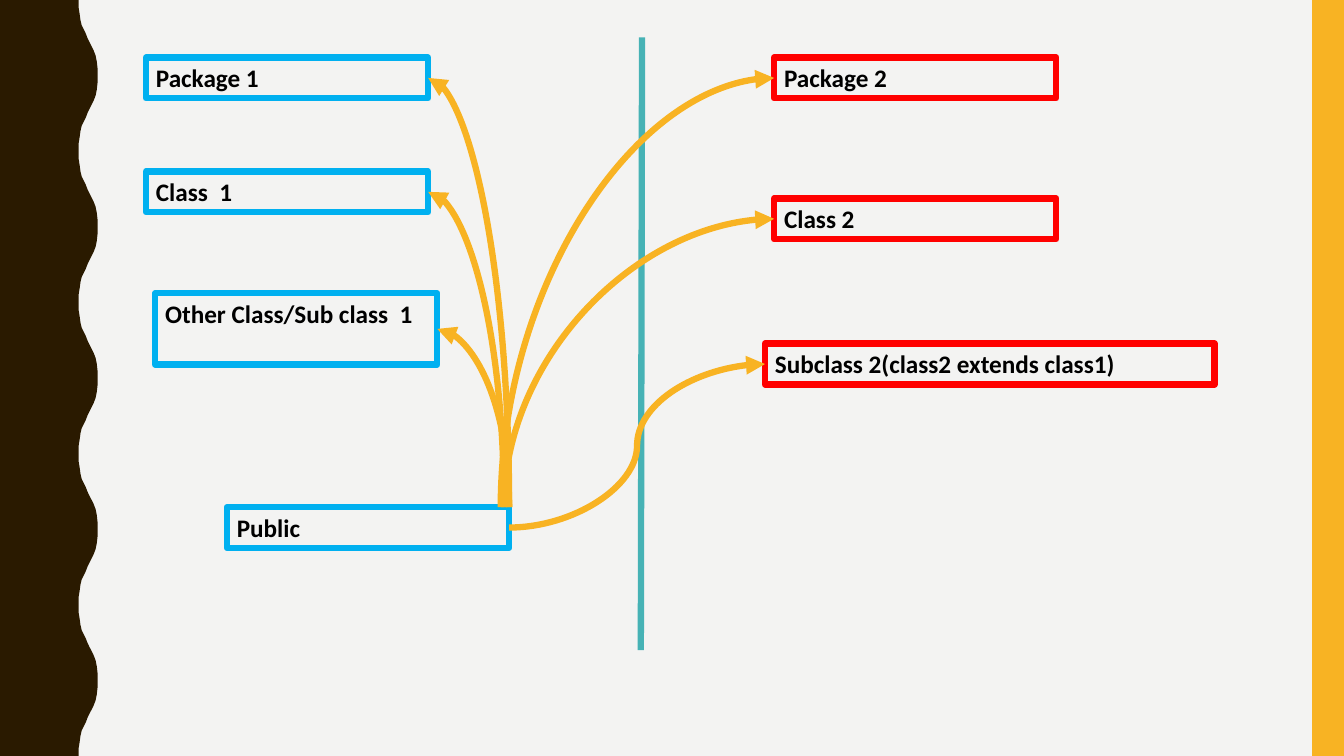
from dataclasses import dataclass

from pptx import Presentation
from pptx import util as u
from pptx.dml import color
from pptx.enum import shapes, text
from pptx.oxml import xmlchemy as xml
from pptx.oxml import ns

Cm = u.Cm


@dataclass(frozen=True)
class Theme:
    back: str = "F3F3F2"
    wave: str = "2A1A00"
    gold: str = "F8B323"
    teal: str = "46B2B5"
    blue: str = "00B0F0"
    red: str = "FF0000"
    ink: str = "000000"
    font: str = "Calibri"
    size: int = 18
    line: float = 4.5


T = Theme()
WIDE, HIGH = 33.87, 19.05

# Half a wave, in cm: from the hollow to the crest
HALF = [(1.98, 0), (1.98, 0.18), (2.01, 0.36), (2.03, 0.51), (2.06, 0.64),
        (2.11, 0.74), (2.16, 0.84), (2.21, 0.97), (2.26, 1.07), (2.31, 1.17),
        (2.36, 1.27), (2.41, 1.4), (2.44, 1.55), (2.46, 1.73), (2.46, 1.9)]
WAVES = 5


def rgb(code):
    return color.RGBColor.from_string(code)


def paint(shape, code):
    shape.fill.solid()
    shape.fill.fore_color.rgb = rgb(code)
    shape.line.fill.background()
    shape.shadow.inherit = False


def stroke(item, code):
    item.line.color.rgb = rgb(code)
    item.line.width = u.Pt(T.line)


def wave(slide):
    step = HIGH / WAVES
    full = HALF + [(x, step - y) for x, y in reversed(HALF)]
    edge = [(Cm(x), Cm(y + n * step)) for n in range(WAVES) for x, y in full]
    form = slide.shapes.build_freeform(0, 0)
    form.add_line_segments(edge + [(0, Cm(HIGH))], close=True)
    paint(form.convert_to_shape(), T.wave)


def bar(slide, x, wide):
    rect = slide.shapes.add_shape(
        shapes.MSO_SHAPE.RECTANGLE, Cm(x), 0, Cm(wide), Cm(HIGH))
    paint(rect, T.gold)


def box(slide, words, code, x, y, wide=7.11, high=1.03):
    item = slide.shapes.add_textbox(Cm(x), Cm(y), Cm(wide), Cm(high))
    stroke(item, code)
    frame = item.text_frame
    frame.word_wrap = True
    frame.vertical_anchor = text.MSO_ANCHOR.TOP
    frame.text = words
    font = frame.paragraphs[0].font
    font.name, font.size, font.bold = T.font, u.Pt(T.size), True
    font.color.rgb = rgb(T.ink)
    return item


def join(slide, kind, code, start, end):
    line = slide.shapes.add_connector(kind, *start, *end)
    stroke(line, code)
    props = line._element.spPr
    props.append(xml.OxmlElement("a:effectLst"))
    return line


def arrow(slide, start, end):
    line = join(slide, shapes.MSO_CONNECTOR.CURVE, T.gold, start, end)
    tip = xml.OxmlElement("a:tailEnd")
    tip.set("type", "triangle")
    line.line._get_or_add_ln().append(tip)
    return line


def bend(slide, start, end):
    """Arrow that leaves upwards and arrives sideways: a turned quarter curve."""
    (x1, y1), (x2, y2) = start, end
    midx, midy = (x1 + x2) // 2, (y1 + y2) // 2
    dx, dy = abs(x2 - x1) // 2, abs(y2 - y1) // 2
    right = x2 > x1
    side = dy if right else -dy
    line = arrow(slide, (midx + side, midy + dx), (midx - side, midy - dx))
    props = line._element.spPr
    props.find(ns.qn("a:xfrm")).set("rot", "5400000" if right else "16200000")
    props.find(ns.qn("a:prstGeom")).set("prst", "curvedConnector2")


def left(item):
    return item.left, item.top + item.height // 2


def right(item):
    return item.left + item.width, item.top + item.height // 2


def main():
    deck = Presentation()
    deck.slide_width, deck.slide_height = Cm(WIDE), Cm(HIGH)
    slide = deck.slides.add_slide(deck.slide_layouts[6])

    # Backdrop
    slide.background.fill.solid()
    slide.background.fill.fore_color.rgb = rgb(T.back)
    wave(slide)
    bar(slide, 33.07, 0.8)

    # Divider between the packages
    join(slide, shapes.MSO_CONNECTOR.STRAIGHT, T.teal,
         (Cm(16.18), Cm(0.94)), (Cm(16.15), Cm(16.38)))

    # Boxes
    pack1 = box(slide, "Package 1", T.blue, 3.68, 1.45)
    pack2 = box(slide, "Package 2", T.red, 19.51, 1.45)
    class1 = box(slide, "Class  1", T.blue, 3.68, 4.32)
    class2 = box(slide, "Class 2", T.red, 19.51, 5)
    sub2 = box(slide, "Subclass 2(class2 extends class1)", T.red,
               19.28, 8.66, wide=11.33)
    other = box(slide, "Other Class/Sub class  1", T.blue,
                3.91, 7.39, high=1.8)
    public = box(slide, "Public", T.blue, 5.72, 12.78)

    # Arrows from the public box
    arrow(slide, right(public), left(sub2))
    for x, end in [(12.83, right(other)), (12.83, right(pack1)),
                   (12.62, left(pack2)), (12.7, right(class1)),
                   (12.7, left(class2))]:
        bend(slide, (Cm(x), public.top), end)

    deck.save("out.pptx")


if __name__ == "__main__":
    main()
